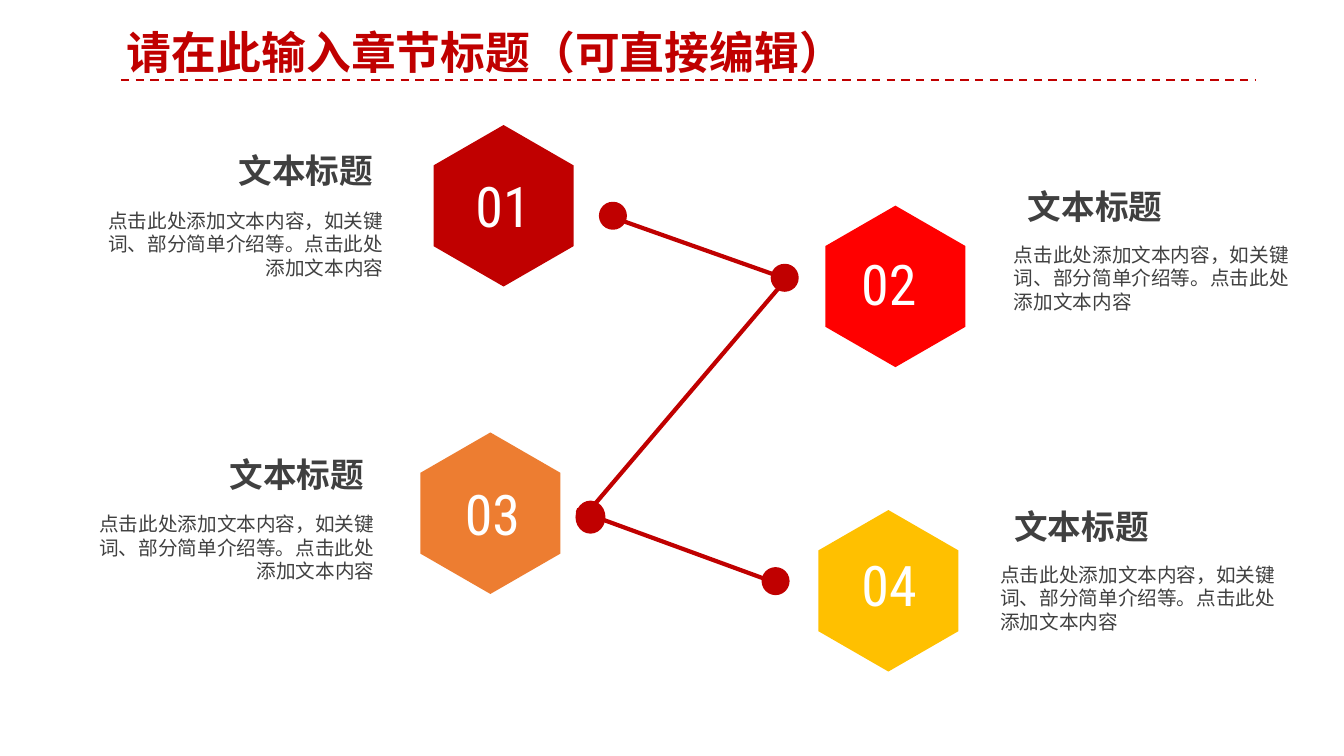
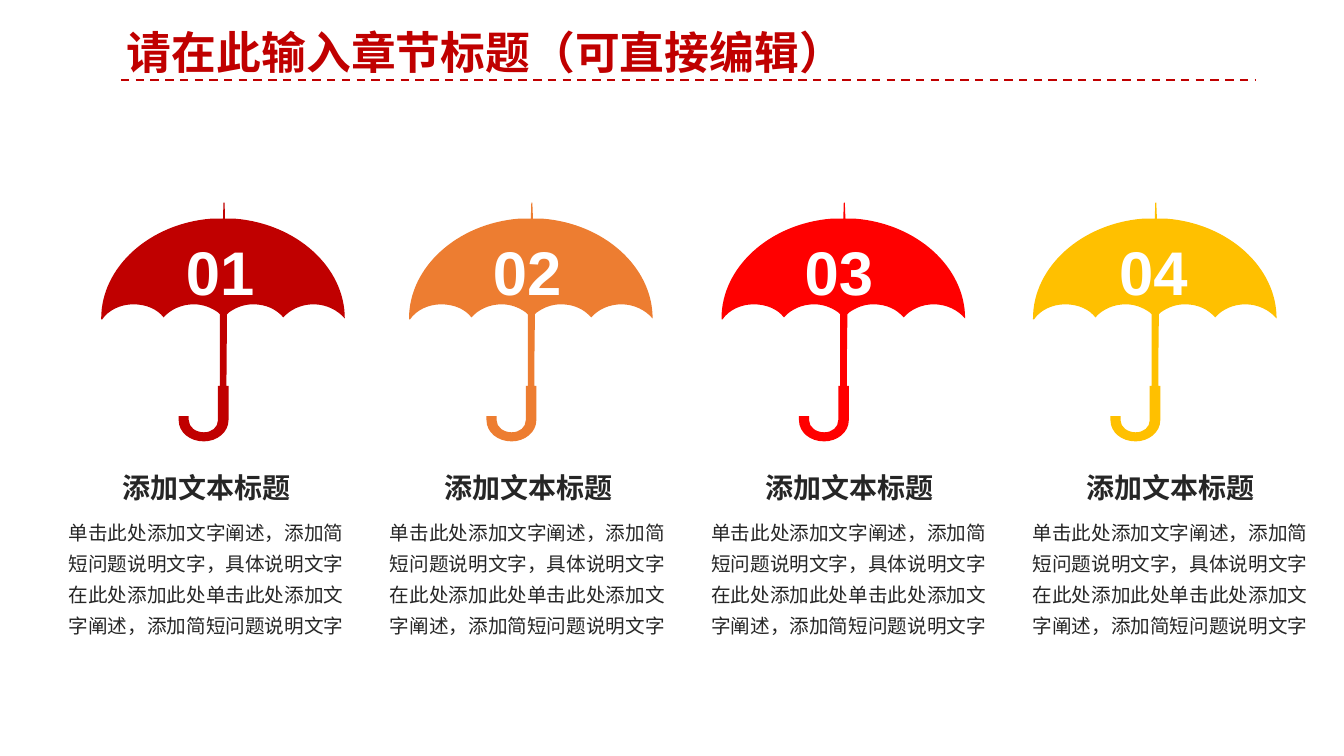
from lxml.etree import SubElement
from pptx import Presentation
from pptx.dml.color import RGBColor
from pptx.enum.dml import MSO_LINE
from pptx.enum.shapes import MSO_CONNECTOR, MSO_SHAPE
from pptx.enum.text import MSO_ANCHOR, MSO_AUTO_SIZE, PP_ALIGN
from pptx.oxml.ns import qn
from pptx.util import Pt

DARK_RED, RED, ORANGE, GOLD = "C00000", "FF0000", "ED7D31", "FFC000"
WHITE, GREY, INK = "FFFFFF", "404040", "262626"
LATIN, CHINESE, CONDENSED = "Arial", "Noto Sans CJK SC", "Roboto Condensed"

TITLE = "请在此输入章节标题（可直接编辑）"
STEP_HEADING = "文本标题"
STEP_BODY = "点击此处添加文本内容，如关键词、部分简单介绍等。点击此处添加文本内容"
UMBRELLA_HEADING = "添加文本标题"
UMBRELLA_BODY = ("单击此处添加文字阐述，添加简短问题说明文字，具体说明文字"
                 "在此处添加此处单击此处添加文字阐述，添加简短问题说明文字")

HEXAGON_SIZE = (100, 115.4)
HEXAGON = [(0.5, 0), (1, 0.25), (1, 0.75), (0.5, 1), (0, 0.75), (0, 0.25)]
STEPS = [
    ("01", DARK_RED, (309.7, 89.3), (15.8, 29.6), (67.3, 103.7), PP_ALIGN.RIGHT),
    ("02", RED, (589.6, 146.9), (11.5, 28.1), (717.1, 129.2), PP_ALIGN.LEFT),
    ("03", ORANGE, (300.3, 308.9), (17.6, 30), (60.8, 320.4), PP_ALIGN.RIGHT),
    ("04", GOLD, (584.6, 364.3), (16.6, 25.4), (707.4, 357.9), PP_ALIGN.LEFT),
]
LINKS = [((436.3, 154.8), (560.2, 198.7)), ((421.9, 363.6), (557.3, 204.5)),
         ((411.8, 364.3), (551.5, 415.4))]
DOTS = [(437.8, 154.1, 18, 18), (560.5, 198.4, 18, 18),
        (421.8, 369.4, 19.4, 21.6), (554, 415.1, 18, 18)]

UMBRELLA_SIZE = (174, 170.6)
UMBRELLA_GRID = (242, 237)
UMBRELLA_OUTLINE = [
    (121.5, 0), (122.5, 0), (123, 12), (123, 16), (133, 16),
    (194, 21, 242, 64, 242, 115), (235, 107, 224, 101, 211, 101),
    (199, 101, 188, 106, 181, 114), (174, 106, 164, 101, 151, 101),
    (142, 101, 134, 104, 127, 109), (125, 111), (125, 115),
    (125, 128, 124.5, 149, 124.5, 182), (126.5, 182), (126.5, 216),
    (126.5, 228, 115, 237, 102, 237), (88, 237, 77, 228, 77, 216),
    (77, 212), (87, 212), (87, 216),
    (87, 223, 94, 228, 102, 228), (110, 228, 116, 223, 116, 216),
    (116, 182), (118, 182), (118, 111), (116, 109),
    (109, 104, 101, 101, 92, 101), (80, 101, 69, 106, 62, 114),
    (56, 106, 45, 101, 32, 101), (19, 101, 7, 107, 1, 116), (0, 116), (0, 115),
    (0, 64, 48, 21, 109, 16), (121, 16),
]
UMBRELLAS = [("01", DARK_RED, 72.3, 51), ("02", ORANGE, 292.2, 50.5),
             ("03", RED, 515.4, 49.9), ("04", GOLD, 737.9, 52)]
UMBRELLA_TOP = 144.7
CAPTION_LEFT, CAPTION_TOP, CAPTION_PITCH = 38.2, 332.6, 229.5


def colour(value):
    return RGBColor.from_string(value)


def write(paragraph, text, size, value, font=LATIN, bold=False,
          align=PP_ALIGN.LEFT, spacing=None):
    paragraph.alignment = align
    if spacing:
        paragraph.line_spacing = Pt(spacing)
    run = paragraph.add_run()
    run.text = text
    run.font.size = Pt(size)
    run.font.bold = bold
    run.font.name = font
    run.font.color.rgb = colour(value)
    SubElement(run.font._element, qn("a:ea")).set("typeface", CHINESE)


def add_text(slide, box, text, size, value, wrap=True, margins=None, **style):
    shape = slide.shapes.add_textbox(*map(Pt, box))
    frame = shape.text_frame
    frame.word_wrap = wrap
    frame.auto_size = MSO_AUTO_SIZE.SHAPE_TO_FIT_TEXT
    if margins:
        frame.margin_left = frame.margin_right = Pt(margins[0])
        frame.margin_top = frame.margin_bottom = Pt(margins[1])
    write(frame.paragraphs[0], text, size, value, **style)


def paint(shape, value):
    shape.shadow.inherit = False
    shape.fill.solid()
    shape.fill.fore_color.rgb = colour(value)
    shape.line.fill.background()


def add_outline(slide, left, top, size, segments, value, grid=(1, 1)):
    points = [(Pt(left + x * size[0] / grid[0]), Pt(top + y * size[1] / grid[1]))
              for segment in segments for x, y in zip(segment[::2], segment[1::2])]
    builder = slide.shapes.build_freeform(*points[0])
    builder.add_line_segments(points[1:], close=True)
    shape = builder.convert_to_shape()
    bend_curves(shape, segments)
    paint(shape, value)


def bend_curves(shape, segments):
    lines = iter(list(shape._element.iter(qn("a:lnTo"))))
    for segment in segments[1:]:
        first = next(lines)
        if len(segment) == 6:
            first.tag = qn("a:cubicBezTo")
            for line in (next(lines), next(lines)):
                first.append(line[0])
                line.getparent().remove(line)


def add_line(slide, start, end, width):
    connector = slide.shapes.add_connector(
        MSO_CONNECTOR.STRAIGHT, *map(Pt, (*start, *end)))
    connector.line.color.rgb = colour(DARK_RED)
    connector.line.width = Pt(width)
    SubElement(connector._element.spPr, qn("a:effectLst"))
    return connector


def add_titled_slide(presentation):
    slide = presentation.slides.add_slide(presentation.slide_layouts[5])
    rule = add_line(slide, (86.4, 56.9), (897.1, 56.9), 1.5)
    rule.line.dash_style = MSO_LINE.DASH
    title = slide.shapes.title
    title.left, title.top, title.width, title.height = map(Pt, (83.5, 13.7, 560.9, 46.1))
    frame = title.text_frame
    frame.word_wrap = True
    frame.auto_size = MSO_AUTO_SIZE.NONE
    frame.vertical_anchor = MSO_ANCHOR.TOP
    write(frame.paragraphs[0], TITLE, 32, DARK_RED, bold=True, spacing=38.4)
    return slide


def add_zigzag(slide):
    for start, end in LINKS:
        add_line(slide, start, end, 3)
    for x, y, width, height in DOTS:
        dot = slide.shapes.add_shape(
            MSO_SHAPE.OVAL, Pt(x - width / 2), Pt(y - height / 2), Pt(width), Pt(height))
        paint(dot, DARK_RED)
        dot.line.color.rgb = colour(DARK_RED)
        dot.line.width = Pt(2)


def add_hexagon(slide, left, top, number, shift, value):
    add_outline(slide, left, top, HEXAGON_SIZE, HEXAGON, value)
    add_text(slide, (left + shift[0], top + shift[1], 67.7, 55.4), number, 40, WHITE,
             font=CONDENSED, align=PP_ALIGN.CENTER)


def add_step_caption(slide, left, top, align):
    width, heading_width = 213.7, 138.2
    on_right = align == PP_ALIGN.RIGHT
    indent = width - heading_width - 7.4 if on_right else 10.1
    drop = 41.8 if on_right else 40.5
    add_text(slide, (left + indent, top, heading_width, 36), STEP_HEADING, 24, GREY,
             bold=True, align=align, spacing=28.8)
    add_text(slide, (left, top + drop, width, 58.3), STEP_BODY, 14, GREY,
             font=CHINESE, align=align, spacing=16.8)


def add_umbrella(slide, left, top, number, shift, value):
    add_outline(slide, left, top, UMBRELLA_SIZE, UMBRELLA_OUTLINE, value, UMBRELLA_GRID)
    add_text(slide, (left + shift, top + 17.3, 68.4, 62.6), number, 44, WHITE,
             wrap=False, margins=(9.4, 5), bold=True)


def add_umbrella_caption(slide, left, top):
    add_text(slide, (left + 41.9, top, 135.4, 31.7), UMBRELLA_HEADING, 20, INK,
             wrap=False, bold=True, align=PP_ALIGN.CENTER, spacing=24)
    add_text(slide, (left, top + 31, 218.2, 95.8), UMBRELLA_BODY, 14, INK,
             align=PP_ALIGN.CENTER, spacing=22)


def build_step_slide(presentation):
    slide = add_titled_slide(presentation)
    add_zigzag(slide)
    for number, value, hexagon, shift, caption, align in STEPS:
        add_hexagon(slide, *hexagon, number, shift, value)
        add_step_caption(slide, *caption, align)


def build_umbrella_slide(presentation):
    slide = add_titled_slide(presentation)
    for index, (number, value, left, shift) in enumerate(UMBRELLAS):
        add_umbrella(slide, left, UMBRELLA_TOP, number, shift, value)
        add_umbrella_caption(slide, CAPTION_LEFT + index * CAPTION_PITCH, CAPTION_TOP)


def main():
    presentation = Presentation()
    presentation.slide_width, presentation.slide_height = Pt(960), Pt(540)
    build_step_slide(presentation)
    build_umbrella_slide(presentation)
    presentation.save("out.pptx")


if __name__ == "__main__":
    main()
